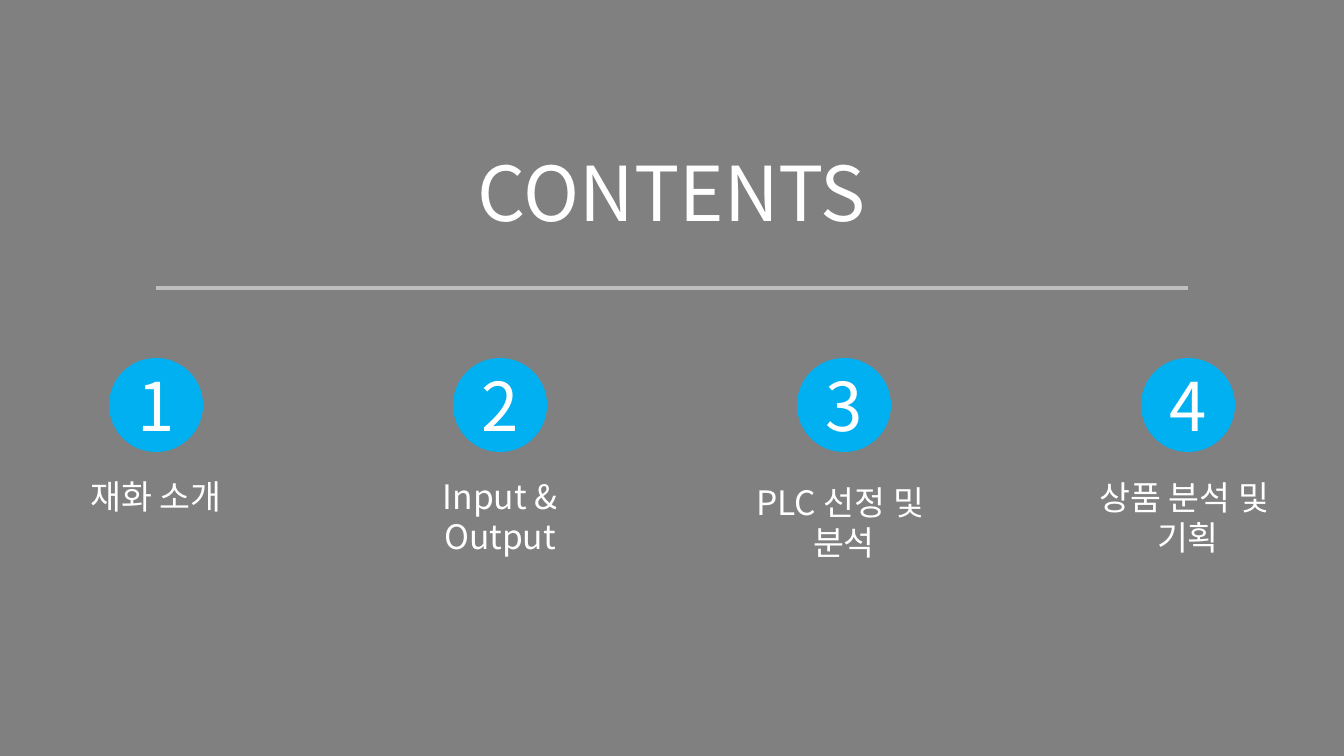
"""Build a contents slide with four numbered sections."""
from lxml import etree
from pptx import Presentation
from pptx import util as u
from pptx.dml.color import RGBColor
from pptx.enum import shapes, text
from pptx.oxml.ns import qn

GREY = RGBColor(0x80, 0x80, 0x80)
SILVER = RGBColor(0xBF, 0xBF, 0xBF)
BLUE = RGBColor(0x00, 0xB0, 0xF0)
WHITE = RGBColor(0xFF, 0xFF, 0xFF)

SECTIONS = [
    (["재화 소개"], 471, 50),
    (["Input & Output"], 471, 92),
    (["PLC 선정 및 ", "분석"], 477, 92),
    (["상품 분석 및 ", "기획"], 472, 92),
]
FIRST_CENTER, STEP = 156, 344
CIRCLE, LABEL_WIDTH = 94, 248


class ContentsSlide:
    FONT = "Noto Sans CJK KR"

    def __init__(self, deck):
        self.page = deck.slides.add_slide(deck.slide_layouts[5])
        fill = self.page.background.fill
        fill.solid()
        fill.fore_color.rgb = GREY

    @staticmethod
    def px(*lengths):
        return [u.Emu(round(length * 914400 / 100.8)) for length in lengths]

    def add_lines(self, box, lines, size, anchor=text.MSO_ANCHOR.TOP):
        frame = box.text_frame
        frame.word_wrap = True
        frame.vertical_anchor = anchor
        for index, line in enumerate(lines):
            para = frame.add_paragraph() if index else frame.paragraphs[0]
            para.alignment = text.PP_ALIGN.CENTER
            span = para.add_run()
            span.text = line
            span.font.name = self.FONT
            span.font.size = u.Pt(size)
            span.font.color.rgb = WHITE
            east_asian = etree.SubElement(span.font._element, qn("a:ea"))
            east_asian.set("typeface", self.FONT)

    def title(self, line, left, top, width, height):
        box = self.page.shapes.title
        box.left, box.top, box.width, box.height = self.px(left, top, width, height)
        self.add_lines(box, [line], 54)
        box.text_frame.auto_size = text.MSO_AUTO_SIZE.SHAPE_TO_FIT_TEXT

    def rule(self, left, right, y):
        line = self.page.shapes.add_connector(
            shapes.MSO_CONNECTOR.STRAIGHT, *self.px(left, y, right, y))
        line.line.color.rgb = SILVER
        line.line.width = u.Pt(2.5)
        etree.SubElement(line._element.spPr, qn("a:effectLst"))

    def badge(self, number, center, top):
        circle = self.page.shapes.add_shape(
            shapes.MSO_SHAPE.OVAL,
            *self.px(center - CIRCLE // 2, top, CIRCLE, CIRCLE))
        circle.shadow.inherit = False
        circle.fill.solid()
        circle.fill.fore_color.rgb = BLUE
        circle.line.fill.background()
        self.add_lines(circle, [str(number)], 48, text.MSO_ANCHOR.MIDDLE)

    def label(self, lines, center, top, height):
        box = self.page.shapes.add_textbox(
            *self.px(center - LABEL_WIDTH // 2, top, LABEL_WIDTH, height))
        self.add_lines(box, lines, 24)
        box.text_frame.auto_size = text.MSO_AUTO_SIZE.SHAPE_TO_FIT_TEXT


def main():
    deck = Presentation()
    deck.slide_width, deck.slide_height = ContentsSlide.px(1344, 756)
    slide = ContentsSlide(deck)
    slide.title("CONTENTS", 327, 141, 690, 102)
    slide.rule(FIRST_CENTER, FIRST_CENTER + 3 * STEP, 288)
    for index, (lines, top, height) in enumerate(SECTIONS):
        center = FIRST_CENTER + index * STEP
        slide.badge(index + 1, center, 358)
        slide.label(lines, center, top, height)
    deck.save("out.pptx")


if __name__ == "__main__":
    main()
